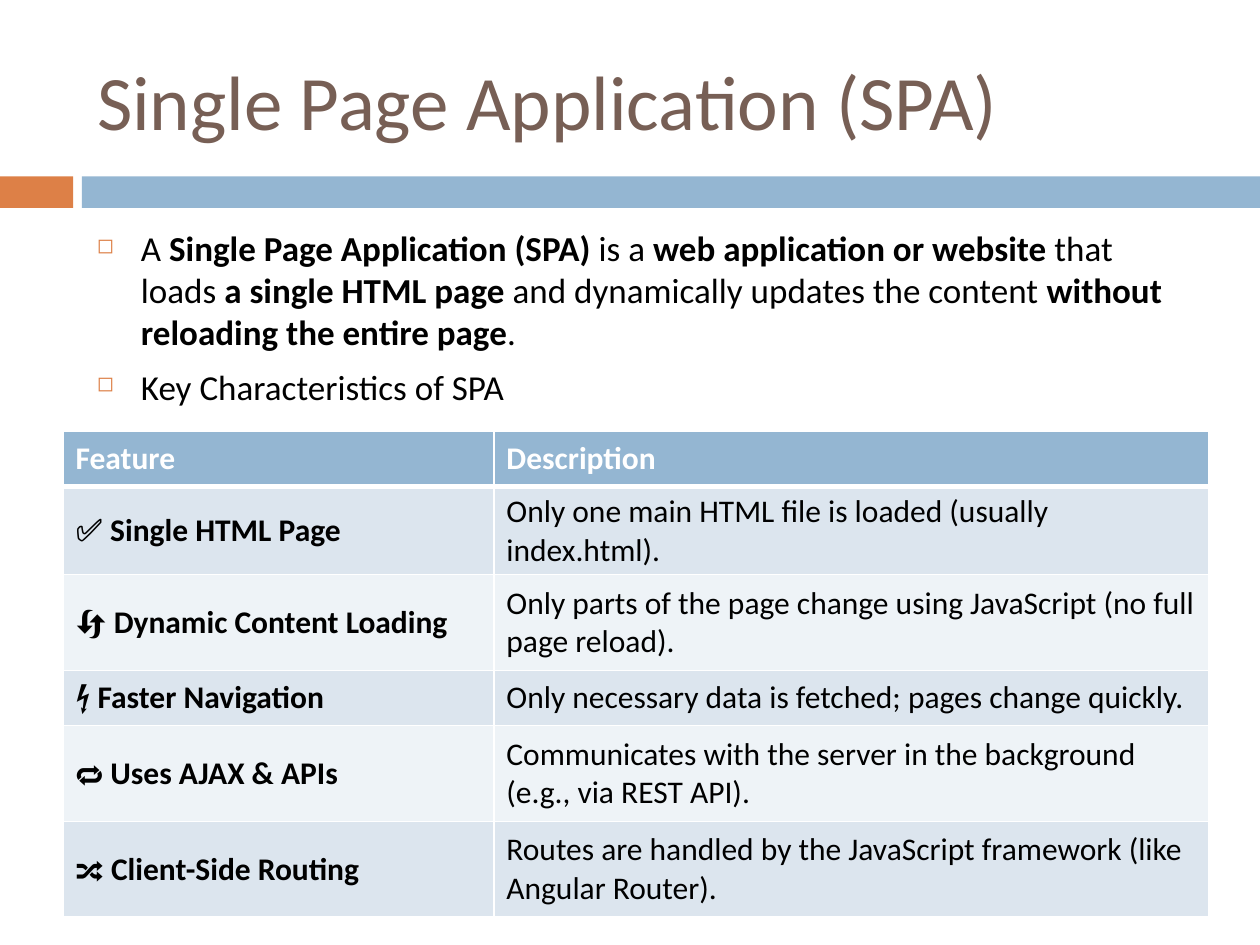
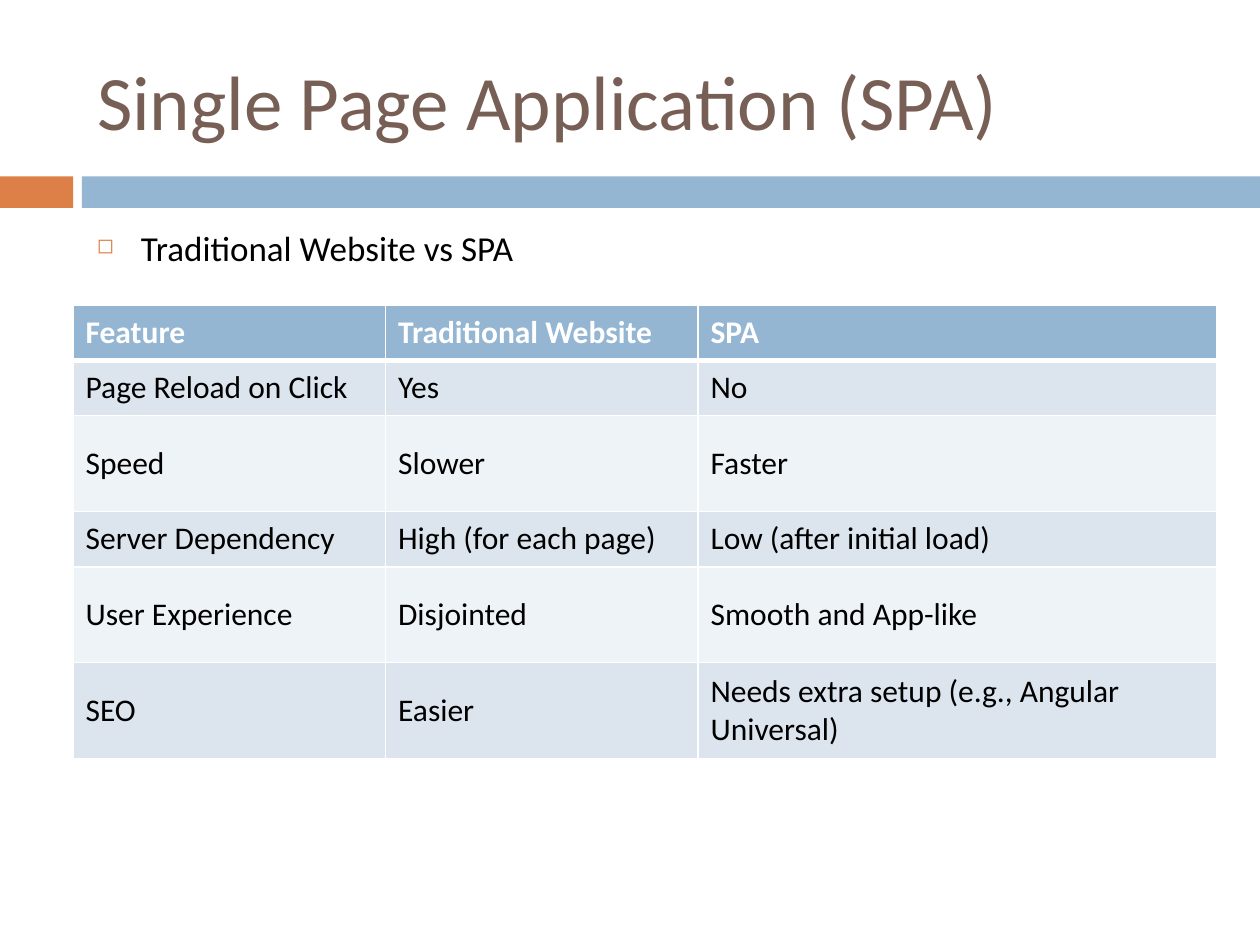
from lxml import etree
from pptx import Presentation
from pptx.dml.color import RGBColor
from pptx.enum.shapes import MSO_SHAPE
from pptx.enum.text import MSO_ANCHOR, PP_ALIGN
from pptx.oxml.ns import qn
from pptx.util import Inches, Pt

RECT = MSO_SHAPE.RECTANGLE
MIDDLE = MSO_ANCHOR.MIDDLE
LEFT = PP_ALIGN.LEFT

WHITE = RGBColor(0xFF, 0xFF, 0xFF)
BLACK = RGBColor(0x00, 0x00, 0x00)
BROWN = RGBColor(0x77, 0x5F, 0x55)
ORANGE = RGBColor(0xDD, 0x80, 0x47)
BLUE = RGBColor(0x94, 0xB6, 0xD2)
TINTS = RGBColor(0xDC, 0xE5, 0xEE), RGBColor(0xEE, 0xF3, 0xF7)

FONT = "Calibri"
TITLE = "Single Page Application (SPA)"
ROWS = [0.44, 0.44, 0.76, 0.44, 0.76, 0.76]

TRAITS = [
    ["Feature", "Description"],
    ["✅ *Single HTML Page*",
     "Only one main HTML file is loaded (usually index.html)."],
    ["🔄 *Dynamic Content Loading*",
     "Only parts of the page change using JavaScript (no full page reload)."],
    ["⚡ *Faster Navigation*",
     "Only necessary data is fetched; pages change quickly."],
    ["🔁 *Uses AJAX & APIs*",
     "Communicates with the server in the background (e.g., via REST API)."],
    ["🔀 *Client-Side Routing*",
     "Routes are handled by the JavaScript framework (like Angular Router)."],
]
VERSUS = [
    ["Feature", "Traditional Website", "SPA"],
    ["Page Reload on Click", "Yes", "No"],
    ["Speed", "Slower", "Faster"],
    ["Server Dependency", "High (for each page)", "Low (after initial load)"],
    ["User Experience", "Disjointed", "Smooth and App-like"],
    ["SEO", "Easier", "Needs extra setup (e.g., Angular Universal)"],
]


class Deck:
    def __init__(self):
        self.prs = Presentation()
        self.prs.slide_width = Inches(10)
        self.prs.slide_height = Inches(7.5)
        self.slide = None

    def start(self, text):
        self.slide = self.prs.slides.add_slide(self.prs.slide_layouts[5])
        self.band(0, 0.58, ORANGE)
        self.band(0.65, 9.35, BLUE)
        title = self.slide.shapes.title
        title.left, title.top = Inches(0.67), Inches(0.25)
        title.width, title.height = Inches(8.92), Inches(1.08)
        frame = title.text_frame
        frame.vertical_anchor = MIDDLE
        frame.paragraphs[0].alignment = LEFT
        self.label(frame.paragraphs[0], text, 44, BROWN)

    def band(self, left, width, color):
        shape = self.slide.shapes.add_shape(
            RECT, Inches(left), Inches(1.4), Inches(width), Inches(0.25))
        shape.shadow.inherit = False
        shape.fill.solid()
        shape.fill.fore_color.rgb = color
        shape.line.fill.background()

    def label(self, para, text, size, color, bold=False):
        for i, part in enumerate(text.split("*")):
            if part:
                run = para.add_run()
                run.text = part
                font = run.font
                font.name, font.size = FONT, Pt(size)
                font.bold = bold or i % 2 == 1
                font.color.rgb = color

    def bullets(self, items):
        box = self.slide.shapes.add_textbox(
            Inches(0.67), Inches(1.75), Inches(8.92), Inches(4.92))
        frame = box.text_frame
        frame.word_wrap = True
        for i, item in enumerate(items):
            para = frame.add_paragraph() if i else frame.paragraphs[0]
            props = para._p.get_or_add_pPr()
            props.set("marL", str(Inches(0.35)))
            props.set("indent", str(-Inches(0.35)))
            tint = etree.SubElement(props, qn("a:buClr"))
            etree.SubElement(tint, qn("a:srgbClr"), val=str(ORANGE))
            etree.SubElement(props, qn("a:buSzPct"), val="60000")
            etree.SubElement(props, qn("a:buChar"), char="◻")
            if i:
                para.space_before = Pt(7)
            self.label(para, item, 20, BLACK)

    def border(self, cell, row):
        props = cell._tc.get_or_add_tcPr()
        thick = {0: "B", 1: "T"}.get(row)
        for side in "LRTB":
            width = Pt(3 if side == thick else 1)
            line = etree.SubElement(props, qn("a:ln" + side), w=str(width))
            fill = etree.SubElement(line, qn("a:solidFill"))
            etree.SubElement(fill, qn("a:srgbClr"), val=str(WHITE))

    def table(self, left, top, cols, data):
        table = self.slide.shapes.add_table(
            len(data), len(cols), Inches(left), Inches(top),
            Inches(sum(cols)), Inches(sum(ROWS))).table
        for col, width in zip(table.columns, cols):
            col.width = Inches(width)
        for r, texts in enumerate(data):
            table.rows[r].height = Inches(ROWS[r])
            head = r == 0
            for c, text in enumerate(texts):
                cell = table.cell(r, c)
                self.border(cell, r)
                cell.fill.solid()
                cell.fill.fore_color.rgb = BLUE if head else TINTS[(r - 1) % 2]
                cell.vertical_anchor = MIDDLE
                self.label(cell.text_frame.paragraphs[0], text, 18,
                           WHITE if head else BLACK, head)


def main():
    deck = Deck()
    deck.start(TITLE)
    deck.bullets([
        "A *Single Page Application (SPA)* is a *web application or website* "
        "that loads *a single HTML page* and dynamically updates the content "
        "*without reloading the entire page*.",
        "Key Characteristics of SPA",
    ])
    deck.table(0.5, 3.42, [3.42, 5.67], TRAITS)

    deck.start(TITLE)
    deck.bullets(["Traditional Website vs SPA"])
    deck.table(0.58, 2.42, [2.48, 2.48, 4.12], VERSUS)
    deck.prs.save("out.pptx")


if __name__ == "__main__":
    main()
